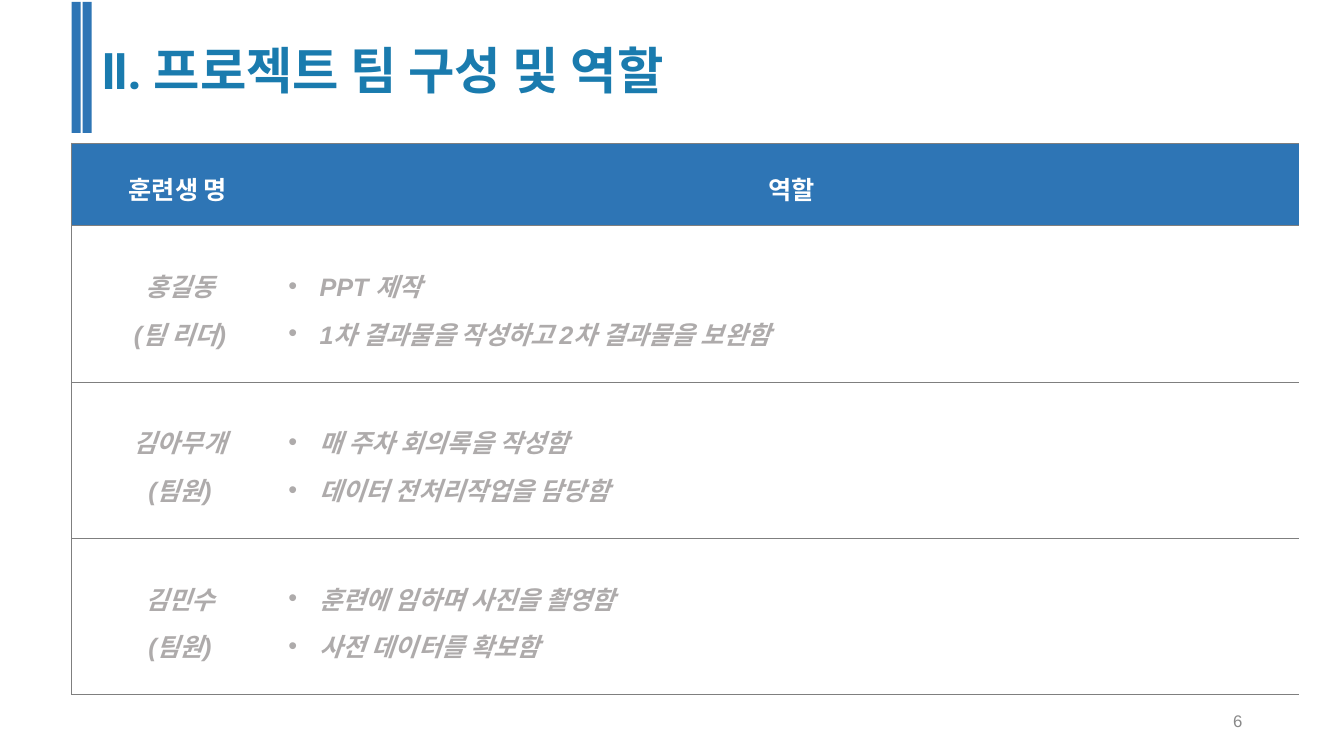
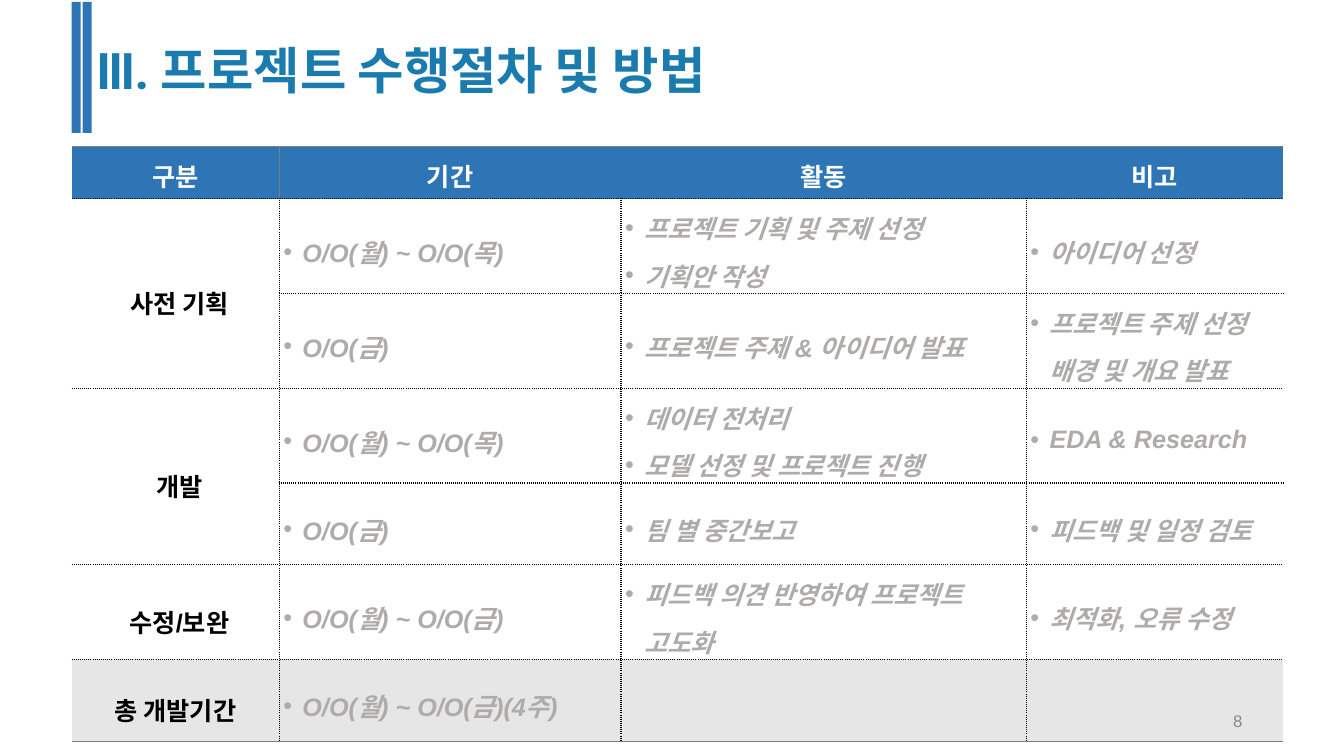
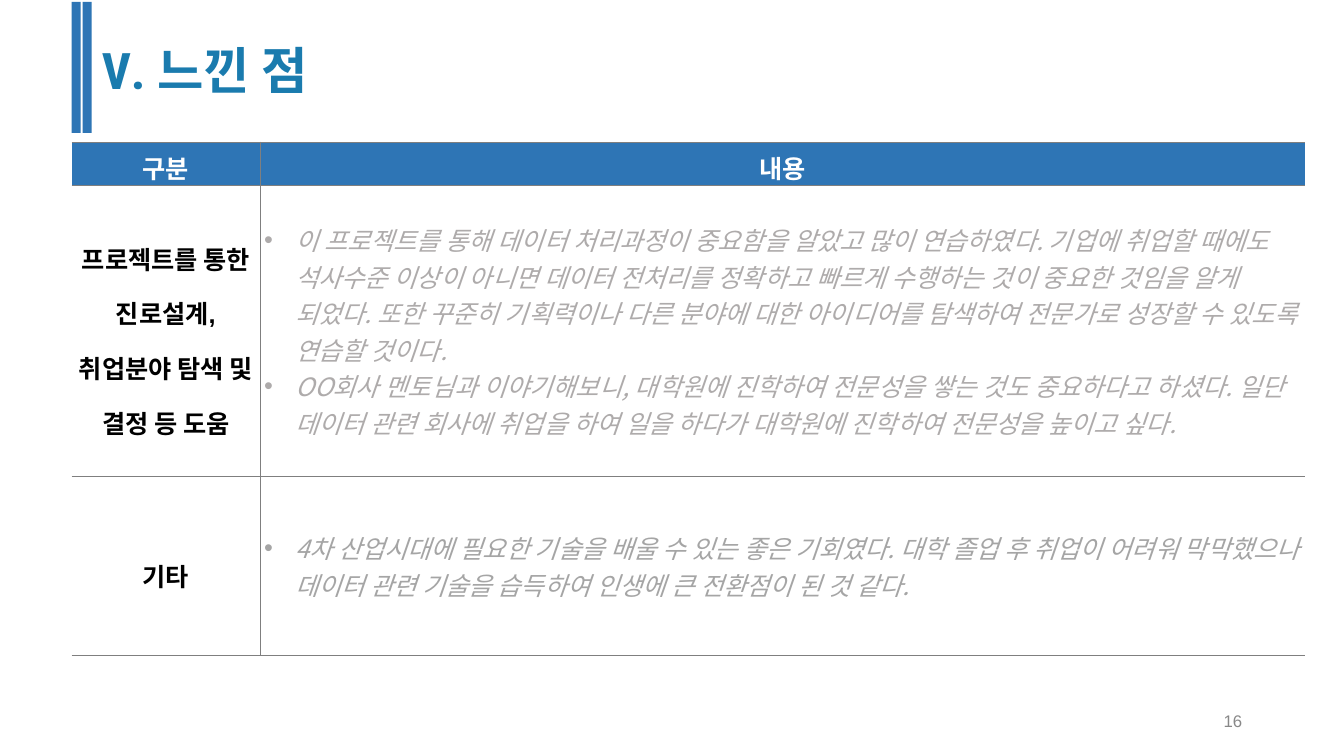
"""Build three project report slides: team roles, schedule and reflections."""
from dataclasses import dataclass
from lxml import etree
from pptx import Presentation
from pptx import util as u
from pptx.dml.color import RGBColor
from pptx.enum import shapes, text
from pptx.oxml.ns import qn


@dataclass(frozen=True)
class Theme:
    """Colours, fonts and type sizes of the deck."""
    band: str = "2E75B5"
    title: str = "1A7BAE"
    muted: str = "AEABAB"
    remark: str = "A5A5A5"
    shade: str = "E7E6E6"
    rule: str = "7F7F7F"
    number: str = "888888"
    ink: str = "000000"
    paper: str = "FFFFFF"
    head_font: str = "Roboto Condensed"
    body_font: str = "Arial"
    korean_font: str = "Noto Sans CJK KR"
    title_size: int = 36
    body_size: int = 18
    number_size: int = 12


THEME = Theme()
LEFT = 0.71
SOLID = (THEME.rule, 0.75, "solid")
DOTTED = (THEME.ink, 1, "sysDot")
CENTER, RIGHT = text.PP_ALIGN.CENTER, text.PP_ALIGN.RIGHT
TABLE_STYLE = "{2D5ABB26-0587-4C30-8999-92F81FD0307C}"

LABEL = dict(color=THEME.ink, bold=True, align=CENTER, spacing=1.5)
NOTE = dict(color=THEME.muted, bold=True, italic=True, spacing=1.3, inset=0.04)
STORY = dict(color=THEME.muted, italic=True, font=THEME.korean_font,
             indent=0.31, inset=0.04)
STYLES = {
    "header": dict(color=THEME.paper, bold=True, align=CENTER, spacing=1.2),
    "member": NOTE | dict(align=CENTER),
    "role": NOTE | dict(indent=0.31),
    "phase": LABEL | dict(inset=0.08),
    "topic": LABEL,
    "task": NOTE | dict(indent=0.19),
    "story": STORY,
    "remark": STORY | dict(color=THEME.remark),
}

SLIDES = [
    dict(
        title="Ⅱ. 프로젝트 팀 구성 및 역할", title_left=0.91, number=6, top=1.42,
        cols=[2.11, 10.06], heights=[0.82] + [1.55] * 3,
        labels=["member"], bodies=["role"],
        left=SOLID, across=SOLID, down=None,
        rows=[
            ["훈련생 명", "역할"],
            ["홍길동\n(팀 리더)", "PPT 제작\n1차 결과물을 작성하고 2차 결과물을 보완함"],
            ["김아무개\n(팀원)", "매 주차 회의록을 작성함\n데이터 전처리작업을 담당함"],
            ["김민수\n(팀원)", "훈련에 임하며 사진을 촬영함\n사전 데이터를 확보함"],
        ]),
    dict(
        title="Ⅲ. 프로젝트 수행절차 및 방법", title_left=0.86, number=8, top=1.45,
        cols=[2.06, 3.39, 4.02, 2.55], heights=[0.52] + [0.81] * 6,
        labels=["phase"] * 5 + ["topic"], bodies=["task"],
        left=None, across=DOTTED, down=DOTTED, total=True,
        rows=[
            ["구분", "기간", "활동", "비고"],
            ["사전 기획", "O/O(월) ~ O/O(목)", "프로젝트 기획 및 주제 선정\n기획안 작성",
             "아이디어 선정"],
            [None, "O/O(금)", "프로젝트 주제 & 아이디어 발표", "프로젝트 주제 선정 배경 및 개요 발표"],
            ["개발", "O/O(월) ~ O/O(목)", "데이터 전처리\n모델 선정 및 프로젝트 진행",
             "EDA & Research"],
            [None, "O/O(금)", "팀 별 중간보고", "피드백 및 일정 검토"],
            ["수정/보완", "O/O(월) ~ O/O(금)", "피드백 의견 반영하여 프로젝트 고도화",
             "최적화, 오류 수정"],
            ["총 개발기간", "O/O(월) ~ O/O(금)(4주)", "", ""],
        ]),
    dict(
        title="Ⅴ. 느낀 점", title_left=0.91, number=16, top=1.41,
        cols=[1.87, 10.36], heights=[0.41, 2.88, 1.78],
        labels=["topic"], bodies=["story", "remark"],
        left=None, across=SOLID, down=SOLID,
        rows=[
            ["구분", "내용"],
            ["프로젝트를 통한 진로설계,\n취업분야 탐색 및 결정 등 도움",
             "이 프로젝트를 통해 데이터 처리과정이 중요함을 알았고 많이 연습하였다. "
             "기업에 취업할 때에도 석사수준 이상이 아니면 데이터 전처리를 정확하고 빠르게 "
             "수행하는 것이 중요한 것임을 알게 되었다. 또한 꾸준히 기획력이나 다른 분야에 대한 "
             "아이디어를 탐색하여 전문가로 성장할 수 있도록 연습할 것이다.\n"
             "OO회사 멘토님과 이야기해보니, 대학원에 진학하여 전문성을 쌓는 것도 중요하다고 "
             "하셨다. 일단 데이터 관련 회사에 취업을 하여 일을 하다가 대학원에 진학하여 "
             "전문성을 높이고 싶다."],
            ["기타",
             "4차 산업시대에 필요한 기술을 배울 수 있는 좋은 기회였다. 대학 졸업 후 취업이 "
             "어려워 막막했으나 데이터 관련 기술을 습득하여 인생에 큰 전환점이 된 것 같다."],
        ]),
]


def add_bullet(para, indent, color):
    """Give a paragraph a hanging bullet."""
    props = para._p.get_or_add_pPr()
    props.set("marL", str(u.Inches(indent)))
    props.set("indent", str(-u.Inches(indent)))
    tint = etree.SubElement(props, qn("a:buClr"))
    etree.SubElement(tint, qn("a:srgbClr"), val=color)
    etree.SubElement(props, qn("a:buFont"), typeface=THEME.body_font)
    etree.SubElement(props, qn("a:buChar"), char="•")


def write(frame, content, *, color, font=THEME.body_font, size=THEME.body_size,
          bold=False, italic=False, align=text.PP_ALIGN.LEFT, spacing=1.0, indent=0):
    """Fill a text frame with one paragraph per line of content."""
    for index, line in enumerate(content.split("\n")):
        para = frame.add_paragraph() if index else frame.paragraphs[0]
        para.alignment, para.line_spacing = align, spacing
        if indent:
            add_bullet(para, indent, color)
        span = para.add_run()
        span.text = line
        span.font.name, span.font.size = font, u.Pt(size)
        span.font.bold, span.font.italic = bold, italic
        span.font.color.rgb = RGBColor.from_string(color)
        etree.SubElement(span._r.get_or_add_rPr(), qn("a:ea"),
                         typeface=THEME.korean_font)


def place(box, left, top, width, height):
    """Move and size a shape in inches."""
    box.left, box.top = u.Inches(left), u.Inches(top)
    box.width, box.height = u.Inches(width), u.Inches(height)


def add_frame(page, title, title_left, number):
    """Add the title, the twin bands and the page number."""
    box = page.shapes.title
    place(box, title_left, 0.34, 7.44, 0.71)
    box.text_frame.vertical_anchor = text.MSO_ANCHOR.TOP
    box.text_frame.auto_size = text.MSO_AUTO_SIZE.NONE
    write(box.text_frame, title, color=THEME.title, font=THEME.head_font,
          size=THEME.title_size, bold=True)
    bands = page.shapes.add_group_shape()
    for step in range(2):
        band = bands.shapes.add_shape(shapes.MSO_SHAPE.RECTANGLE, 0, 0, 0, 0)
        place(band, LEFT + step * 0.11, 0.02, 0.09, 1.3)
        band.shadow.inherit = False
        band.fill.solid()
        band.fill.fore_color.rgb = RGBColor.from_string(THEME.band)
        band.line.fill.background()


def add_number(page, number):
    """Add the page number at the lower right."""
    box = page.shapes.add_textbox(0, 0, 0, 0)
    place(box, 9.42, 6.95, 3, 0.4)
    box.text_frame.word_wrap = True
    box.text_frame.vertical_anchor = text.MSO_ANCHOR.MIDDLE
    write(box.text_frame, str(number), color=THEME.number,
          size=THEME.number_size, align=RIGHT)


def cell_edges(item, row, col):
    """Return the line of each side of a cell."""
    last_row, last_col = len(item["rows"]) - 1, len(item["cols"]) - 1

    def upright(boundary):
        if boundary == 0:
            return item["left"]
        if boundary > last_col or (row == 0 and boundary > 1):
            return None
        return SOLID if row == 0 and item["down"] else item["down"]

    covered = item["rows"][row][col] is None
    top = SOLID if row == 0 else None if covered else item["across"]
    bottom = SOLID if row == last_row else item["across"]
    return dict(lnL=upright(col), lnR=upright(col + 1), lnT=top, lnB=bottom)


def set_edges(cell, edges):
    """Draw the sides of a cell, ahead of its fill."""
    props = cell._tc.get_or_add_tcPr()
    for index, (side, line) in enumerate(edges.items()):
        edge = etree.Element(qn(f"a:{side}"))
        props.insert(index, edge)
        if line is None:
            edge.set("w", "0")
            etree.SubElement(edge, qn("a:noFill"))
            continue
        color, width, dash = line
        edge.set("w", str(u.Pt(width)))
        fill = etree.SubElement(edge, qn("a:solidFill"))
        etree.SubElement(fill, qn("a:srgbClr"), val=color)
        etree.SubElement(edge, qn("a:prstDash"), val=dash)


def fill_cell(cell, item, row, col):
    """Write, fill and rule one cell."""
    names = item["bodies"] if col else item["labels"]
    name = names[min(row, len(names)) - 1] if row else "header"
    style = dict(STYLES[name])
    cell.margin_left = u.Inches(style.pop("inset", 0))
    cell.margin_right = cell.margin_top = cell.margin_bottom = 0
    cell.vertical_anchor = text.MSO_ANCHOR.MIDDLE
    if item["rows"][row][col]:
        write(cell.text_frame, item["rows"][row][col], **style)
    total = item.get("total") and row == len(item["rows"]) - 1
    color = THEME.band if row == 0 else THEME.shade if total else None
    if color:
        cell.fill.solid()
        cell.fill.fore_color.rgb = RGBColor.from_string(color)
    else:
        cell.fill.background()
    set_edges(cell, cell_edges(item, row, col))


def add_grid(page, item):
    """Add the table of a slide."""
    rows, cols, heights = item["rows"], item["cols"], item["heights"]
    table = page.shapes.add_table(
        len(rows), len(cols), u.Inches(LEFT), u.Inches(item["top"]),
        u.Inches(sum(cols)), u.Inches(sum(heights))).table
    table.horz_banding = table.first_row = False
    table._tbl.tblPr.find(qn("a:tableStyleId")).text = TABLE_STYLE
    for column, width in zip(table.columns, cols):
        column.width = u.Inches(width)
    for line, height in zip(table.rows, heights):
        line.height = u.Inches(height)
    for row, values in enumerate(rows):
        for col, value in enumerate(values):
            fill_cell(table.cell(row, col), item, row, col)
            if value is None:
                table.cell(row - 1, col).merge(table.cell(row, col))


def main():
    """Build and save the deck."""
    deck = Presentation()
    deck.slide_width, deck.slide_height = u.Inches(13.33), u.Inches(7.5)
    for item in SLIDES:
        page = deck.slides.add_slide(deck.slide_layouts[5])
        add_frame(page, item["title"], item["title_left"], item["number"])
        add_grid(page, item)
        add_number(page, item["number"])
    deck.save("out.pptx")


if __name__ == "__main__":
    main()
